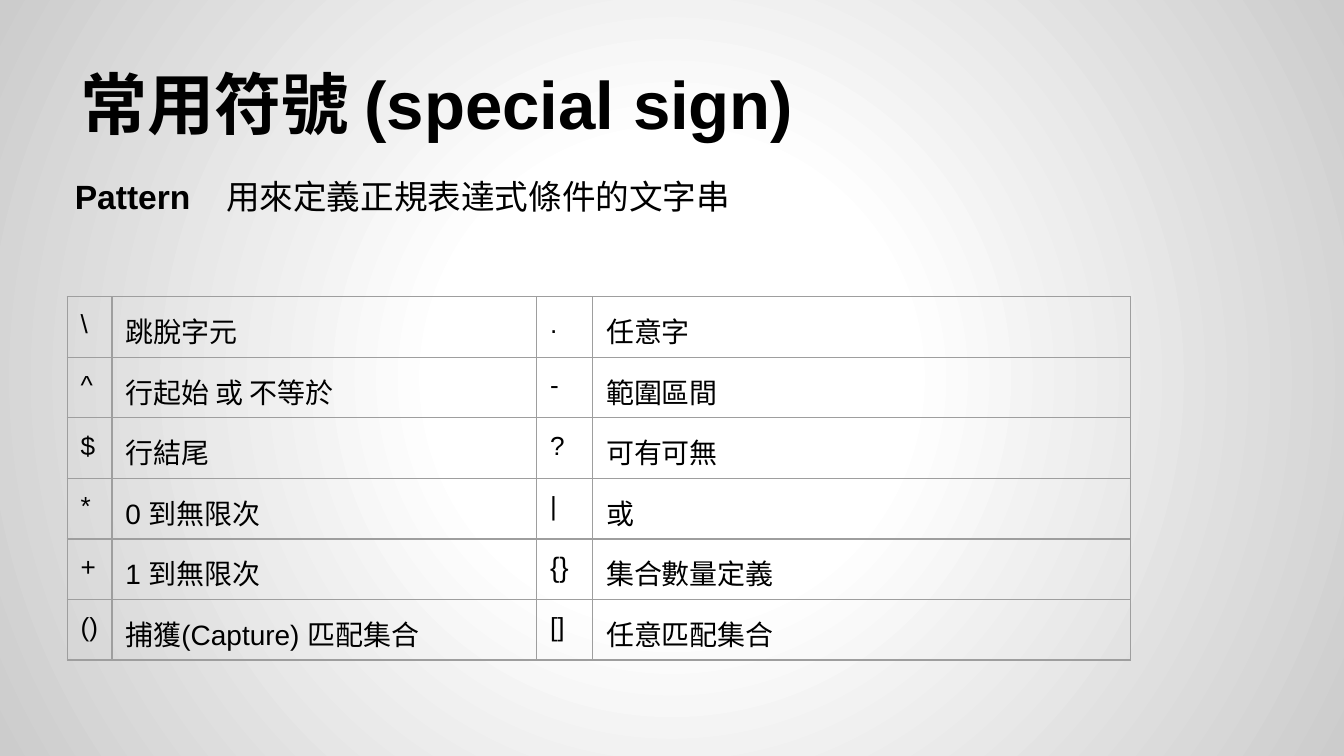
from dataclasses import dataclass

from pptx import Presentation
from pptx import util as u
from pptx.dml import color
from pptx.enum import text
from pptx.oxml import ns, parse_xml


@dataclass(frozen=True)
class Theme:
    font: str = "Arial"
    ink: str = "000000"
    border: str = "9E9E9E"
    border_width: float = 0.75
    inset: float = 7.2
    title: float = 36
    definition: float = 18
    sign: float = 14
    meaning: float = 15
    backdrop: tuple = ((0, "FFFFFF"), (30, "FFFFFF"), (100, "CCCCCC"))


THEME = Theme()
SIGNS = (
    ("\\", "跳脫字元", ".", "任意字"),
    ("^", "行起始 或 不等於", "-", "範圍區間"),
    ("$", "行結尾", "?", "可有可無"),
    ("*", "0 到無限次", "|", "或"),
    ("+", "1 到無限次", "{}", "集合數量定義"),
    ("()", "捕獲(Capture) 匹配集合", "[]", "任意匹配集合"),
)
COLUMN_WIDTHS = (24, 227.5, 30, 288)
LARGER_SIGNS = {"{}"}


def apply(target, values):
    for name, value in values.items():
        setattr(target, name, value)


def inset_margins():
    return {f"margin_{side}": u.Pt(THEME.inset) for side in ("left", "top", "right", "bottom")}


def write(paragraph, words, size, bold=False):
    run = paragraph.add_run()
    run.text = words
    apply(run.font, {"name": THEME.font, "size": u.Pt(size), "bold": bold})
    run.font.color.rgb = color.RGBColor.from_string(THEME.ink)


def add_frame(slide, box, anchor):
    frame = slide.shapes.add_textbox(*map(u.Pt, box)).text_frame
    apply(frame, {"word_wrap": True, "vertical_anchor": anchor, **inset_margins()})
    return frame


def paint_backdrop(slide):
    slide.background.fill.solid()
    stops = "".join(
        f'<a:gs pos="{place * 1000}"><a:srgbClr val="{shade}"/></a:gs>'
        for place, shade in THEME.backdrop
    )
    gradient = parse_xml(
        f'<a:gradFill {ns.nsdecls("a")}><a:gsLst>{stops}</a:gsLst><a:path path="circle">'
        '<a:fillToRect l="50000" t="50000" r="50000" b="50000"/></a:path></a:gradFill>'
    )
    properties = slide.element.find(".//" + ns.qn("p:bgPr"))
    properties.replace(properties[0], gradient)


def add_title(slide, box):
    frame = add_frame(slide, box, text.MSO_ANCHOR.BOTTOM)
    write(frame.paragraphs[0], "常用符號 (special sign)", THEME.title, bold=True)


def add_definition(slide, box, indent):
    line = add_frame(slide, box, text.MSO_ANCHOR.TOP).paragraphs[0]
    write(line, "Pattern", THEME.definition, bold=True)
    write(line, "\t用來定義正規表達式條件的文字串", THEME.definition)
    line._p.get_or_add_pPr().append(parse_xml(
        f'<a:tabLst {ns.nsdecls("a")}><a:tab pos="{u.Pt(indent)}" algn="l"/></a:tabLst>'
    ))


def draw_borders(cell):
    properties = cell._tc.get_or_add_tcPr()
    for place, side in enumerate(("lnL", "lnR", "lnT", "lnB")):
        properties.insert(place, parse_xml(
            f'<a:{side} {ns.nsdecls("a")} w="{u.Pt(THEME.border_width)}"><a:solidFill>'
            f'<a:srgbClr val="{THEME.border}"/></a:solidFill></a:{side}>'
        ))


def add_sign_table(slide, box):
    table = slide.shapes.add_table(len(SIGNS), len(COLUMN_WIDTHS), *map(u.Pt, box)).table
    apply(table, {"first_row": False, "horz_banding": False})
    for column, width in zip(table.columns, COLUMN_WIDTHS):
        column.width = u.Pt(width)
    for row, entries in zip(table.rows, SIGNS):
        for place, (cell, words) in enumerate(zip(row.cells, entries)):
            is_meaning = place % 2 or words in LARGER_SIGNS
            apply(cell, inset_margins())
            cell.fill.background()
            draw_borders(cell)
            write(cell.text_frame.paragraphs[0], words, THEME.meaning if is_meaning else THEME.sign)


def main():
    deck = Presentation()
    apply(deck, {"slide_width": u.Pt(720), "slide_height": u.Pt(405)})
    slide = deck.slides.add_slide(deck.slide_layouts[6])
    paint_backdrop(slide)
    add_title(slide, (36, 16.5, 648, 67.5))
    add_sign_table(slide, (36, 159, sum(COLUMN_WIDTHS), 194.4))
    add_definition(slide, (33, 87, 510.5, 66), indent=81)
    deck.save("out.pptx")


if __name__ == "__main__":
    main()
